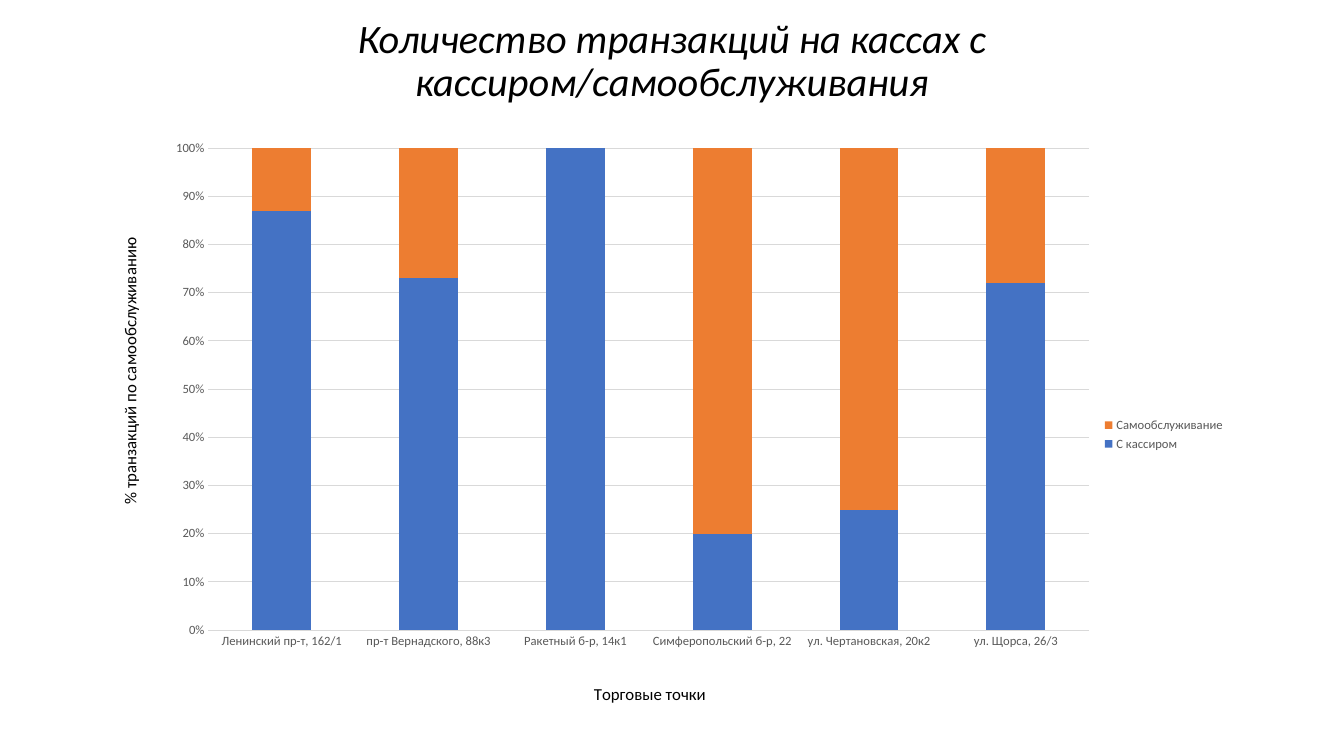
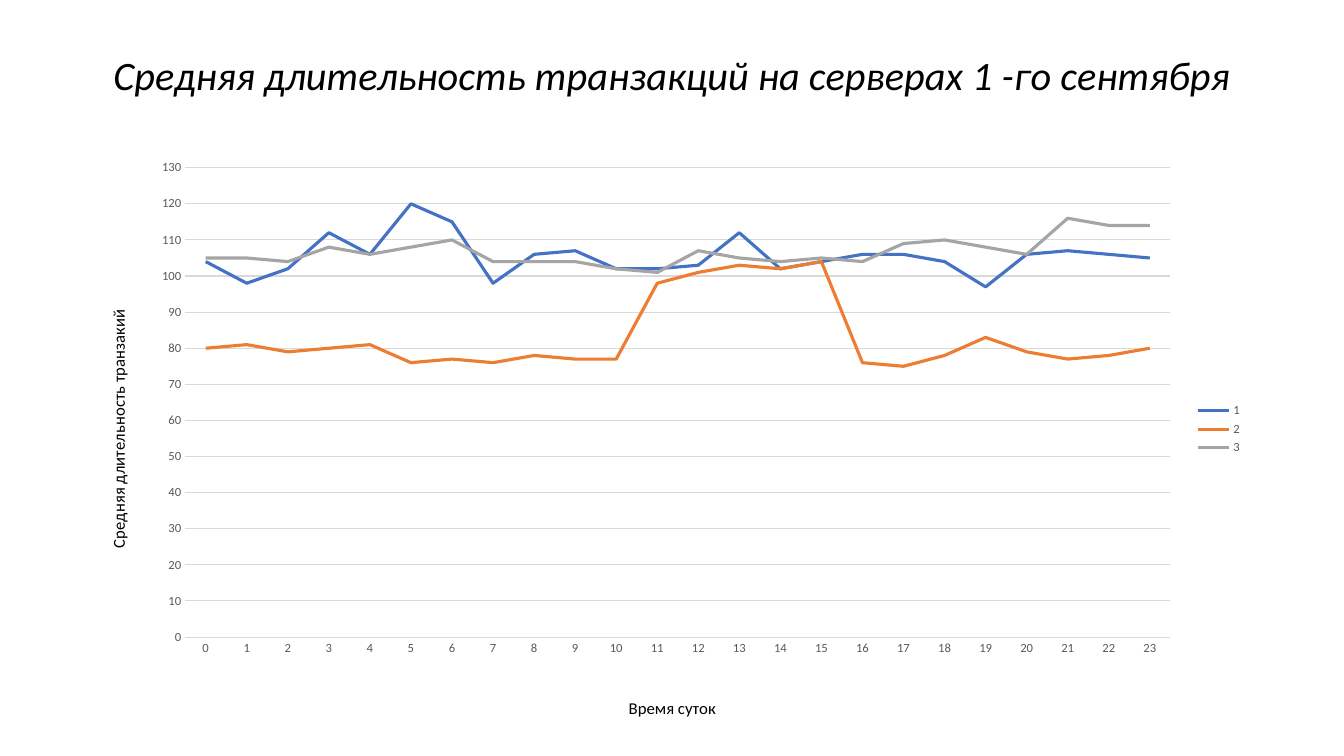
from dataclasses import dataclass

from lxml import etree
from pptx import Presentation
from pptx.chart.axis import CategoryAxis, ValueAxis
from pptx.chart.chart import Chart
from pptx.chart.data import CategoryChartData
from pptx.dml.color import RGBColor
from pptx.enum.chart import XL_CHART_TYPE, XL_LEGEND_POSITION, XL_TICK_MARK
from pptx.enum.text import MSO_ANCHOR, MSO_AUTO_SIZE, PP_ALIGN
from pptx.oxml.ns import qn
from pptx.slide import Slide
from pptx.util import Cm, Pt

STACKED = XL_CHART_TYPE.COLUMN_STACKED_100
LINE = XL_CHART_TYPE.LINE
LEGEND_RIGHT = XL_LEGEND_POSITION.RIGHT
NO_TICK = XL_TICK_MARK.NONE
CENTER = PP_ALIGN.CENTER
MIDDLE = MSO_ANCHOR.MIDDLE
NO_AUTOFIT = MSO_AUTO_SIZE.NONE

BLACK = RGBColor(0x00, 0x00, 0x00)
GRAY_TEXT = RGBColor(0x59, 0x59, 0x59)
GRID = RGBColor(0xD9, 0xD9, 0xD9)
SERIES_COLORS = (
    RGBColor(0x44, 0x72, 0xC4),
    RGBColor(0xED, 0x7D, 0x31),
    RGBColor(0xA5, 0xA5, 0xA5),
)
FONT = "Calibri"
CONTENT_LEFT = Cm(2.33)
CONTENT_WIDTH = Cm(29.21)
TITLE_ONLY_LAYOUT = 5


@dataclass(frozen=True)
class AxisSpec:
    caption: str
    caption_at: tuple[float, float]
    number_format: str = "General"
    maximum: float | None = None
    step: float | None = None


@dataclass(frozen=True)
class ChartSlide:
    title: str
    title_top: float
    title_height: float
    chart_top: float
    chart_height: float
    kind: XL_CHART_TYPE
    categories: list[str]
    series: dict[str, list[float | None]]
    category_axis: AxisSpec
    value_axis: AxisSpec
    plot_area: tuple[float, float, float, float]
    legend_at: tuple[float, float]


CHART_SLIDES = [
    ChartSlide(
        title="Количество транзакций на кассах с кассиром/самообслуживания",
        title_top=0.55,
        title_height=2.03,
        chart_top=2.8,
        chart_height=15.57,
        kind=STACKED,
        categories=[
            "Ленинский пр-т, 162/1",
            "пр-т Вернадского, 88к3",
            "Ракетный б-р, 14к1",
            "Симферопольский б-р, 22",
            "ул. Чертановская, 20к2",
            "ул. Щорса, 26/3",
        ],
        series={
            "С кассиром": [87, 73, 100, 20, 25, 72],
            "Самообслуживание": [13, 27, None, 80, 75, 28],
        },
        category_axis=AxisSpec("Торговые точки", (0.43, 0.92)),
        value_axis=AxisSpec("% транзакций по самообслуживанию", (0.02, 0.2), "0%"),
        plot_area=(0.1, 0.06, 0.76, 0.78),
        legend_at=(0.87, 0.49),
    ),
    ChartSlide(
        title="Средняя длительность транзакций на серверах 1 -го сентября",
        title_top=0.8,
        title_height=2.3,
        chart_top=3.8,
        chart_height=14.43,
        kind=LINE,
        categories=[str(hour) for hour in range(24)],
        series={
            "1": [104, 98, 102, 112, 106, 120, 115, 98, 106, 107, 102, 102,
                  103, 112, 102, 104, 106, 106, 104, 97, 106, 107, 106, 105],
            "2": [80, 81, 79, 80, 81, 76, 77, 76, 78, 77, 77, 98,
                  101, 103, 102, 104, 76, 75, 78, 83, 79, 77, 78, 80],
            "3": [105, 105, 104, 108, 106, 108, 110, 104, 104, 104, 102, 101,
                  107, 105, 104, 105, 104, 109, 110, 108, 106, 116, 114, 114],
        },
        category_axis=AxisSpec("Время суток", (0.46, 0.96)),
        value_axis=AxisSpec(
            "Средняя длительность транзакий", (0.01, 0.28), maximum=130, step=10
        ),
        plot_area=(0.08, 0.03, 0.85, 0.83),
        legend_at=(0.95, 0.44),
    ),
]


def place(chart: Chart, target: str, fractions: tuple[float, ...]) -> None:
    parent = chart.element.xpath(f"c:chart/{target}")[0]
    for previous in parent.findall(qn("c:layout")):
        parent.remove(previous)
    leading = {qn("c:tx"), qn("c:legendPos")}
    layout = etree.Element(qn("c:layout"))
    parent.insert(sum(child.tag in leading for child in parent), layout)
    manual = etree.SubElement(layout, qn("c:manualLayout"))
    settings = {"xMode": "edge", "yMode": "edge"}
    if target == "c:plotArea":
        settings = {"layoutTarget": "inner", **settings}
    settings.update(zip("xywh", map(str, fractions)))
    for name, value in settings.items():
        etree.SubElement(manual, qn(f"c:{name}")).set("val", value)


def center_points_in_categories(chart: Chart) -> None:
    value_axis = chart.element.xpath("c:chart/c:plotArea/c:valAx")[0]
    for previous in value_axis.findall(qn("c:crossBetween")):
        value_axis.remove(previous)
    between = etree.Element(qn("c:crossBetween"))
    between.set("val", "between")
    value_axis.find(qn("c:crosses")).addnext(between)


def format_axis(axis: CategoryAxis | ValueAxis, spec: AxisSpec) -> None:
    axis.major_tick_mark = axis.minor_tick_mark = NO_TICK
    labels = axis.tick_labels
    labels.font.name = FONT
    labels.font.size = Pt(9)
    labels.font.color.rgb = GRAY_TEXT
    labels.number_format = spec.number_format
    labels.number_format_is_linked = False
    caption = axis.axis_title.text_frame
    caption.text = spec.caption
    font = caption.paragraphs[0].font
    font.name = FONT
    font.size = Pt(12)
    font.bold = False
    font.color.rgb = BLACK


def format_value_axis(axis: ValueAxis, spec: AxisSpec) -> None:
    format_axis(axis, spec)
    axis.minimum_scale = 0
    if spec.maximum is not None:
        axis.maximum_scale = spec.maximum
    if spec.step is not None:
        axis.major_unit = spec.step
    axis.format.line.fill.background()
    axis.has_major_gridlines = True
    gridlines = axis.major_gridlines.format.line
    gridlines.color.rgb = GRID
    gridlines.width = Pt(0.75)


def format_series(chart: Chart, kind: XL_CHART_TYPE) -> None:
    plot = chart.plots[0]
    plot.vary_by_categories = False
    if kind == STACKED:
        plot.gap_width = 150
        plot.overlap = 100
    for series, color in zip(plot.series, SERIES_COLORS):
        if kind == LINE:
            series.smooth = False
            series.format.line.color.rgb = color
            series.format.line.width = Pt(2.25)
        else:
            series.format.fill.solid()
            series.format.fill.fore_color.rgb = color


def add_title(slide: Slide, spec: ChartSlide) -> None:
    title = slide.shapes.title
    title.left, title.top = CONTENT_LEFT, Cm(spec.title_top)
    title.width, title.height = CONTENT_WIDTH, Cm(spec.title_height)
    frame = title.text_frame
    frame.text = spec.title
    frame.word_wrap = True
    frame.auto_size = NO_AUTOFIT
    frame.vertical_anchor = MIDDLE
    paragraph = frame.paragraphs[0]
    paragraph.alignment = CENTER
    paragraph.line_spacing = 0.9
    paragraph.font.name = FONT
    paragraph.font.size = Pt(28.8)
    paragraph.font.italic = True
    paragraph.font.color.rgb = BLACK


def add_transaction_chart(slide: Slide, spec: ChartSlide) -> None:
    data = CategoryChartData()
    data.categories = spec.categories
    for name, values in spec.series.items():
        data.add_series(name, values)
    chart = slide.shapes.add_chart(
        spec.kind, CONTENT_LEFT, Cm(spec.chart_top),
        CONTENT_WIDTH, Cm(spec.chart_height), data,
    ).chart
    chart.has_title = False
    chart.font.name = FONT
    chart.font.size = Pt(10)
    chart.font.color.rgb = BLACK
    format_series(chart, spec.kind)

    format_axis(chart.category_axis, spec.category_axis)
    chart.category_axis.has_major_gridlines = False
    axis_line = chart.category_axis.format.line
    axis_line.color.rgb = GRID
    axis_line.width = Pt(0.75)
    format_value_axis(chart.value_axis, spec.value_axis)
    center_points_in_categories(chart)

    chart.has_legend = True
    legend = chart.legend
    legend.position = LEGEND_RIGHT
    legend.include_in_layout = False
    legend.font.name = FONT
    legend.font.size = Pt(9)
    legend.font.color.rgb = GRAY_TEXT

    place(chart, "c:plotArea", spec.plot_area)
    place(chart, "c:plotArea/c:catAx/c:title", spec.category_axis.caption_at)
    place(chart, "c:plotArea/c:valAx/c:title", spec.value_axis.caption_at)
    place(chart, "c:legend", spec.legend_at)


def main() -> None:
    presentation = Presentation()
    presentation.slide_width = Cm(33.87)
    presentation.slide_height = Cm(19.05)
    for spec in CHART_SLIDES:
        slide = presentation.slides.add_slide(
            presentation.slide_layouts[TITLE_ONLY_LAYOUT]
        )
        add_title(slide, spec)
        add_transaction_chart(slide, spec)
    presentation.save("out.pptx")


if __name__ == "__main__":
    main()
